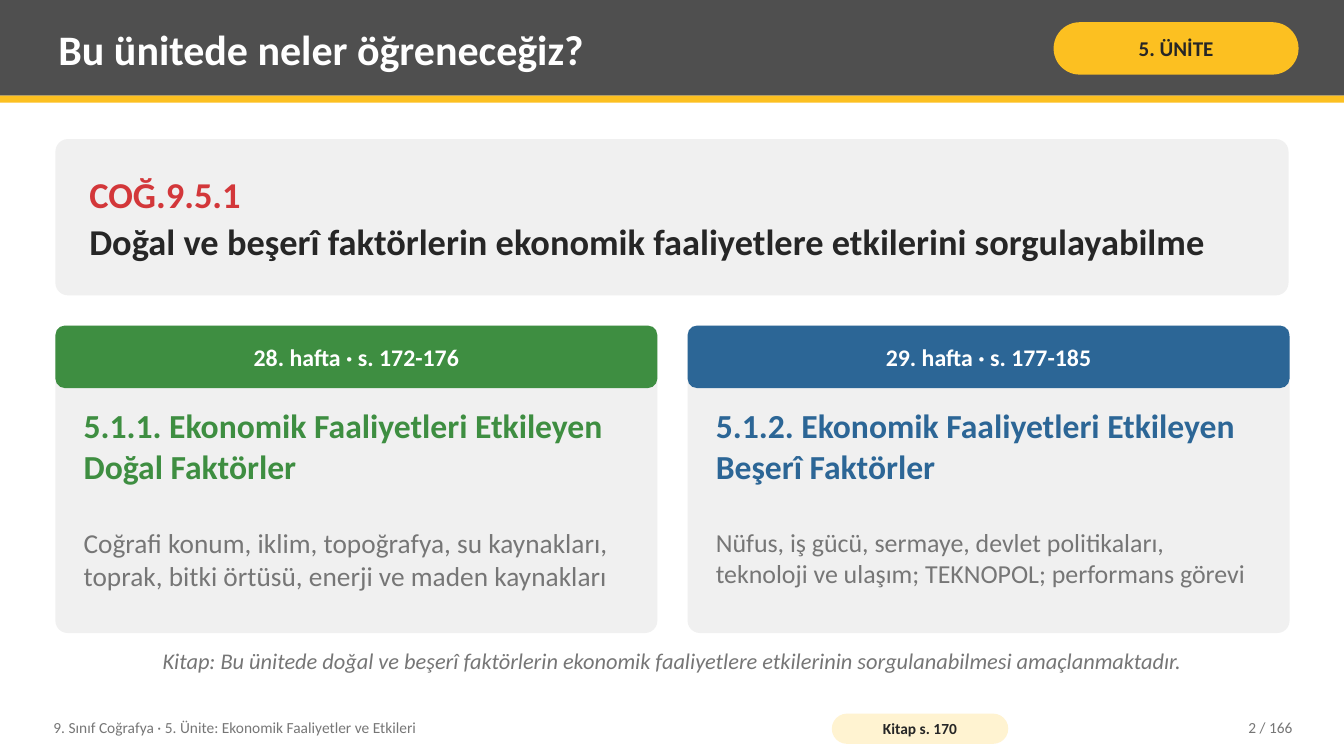
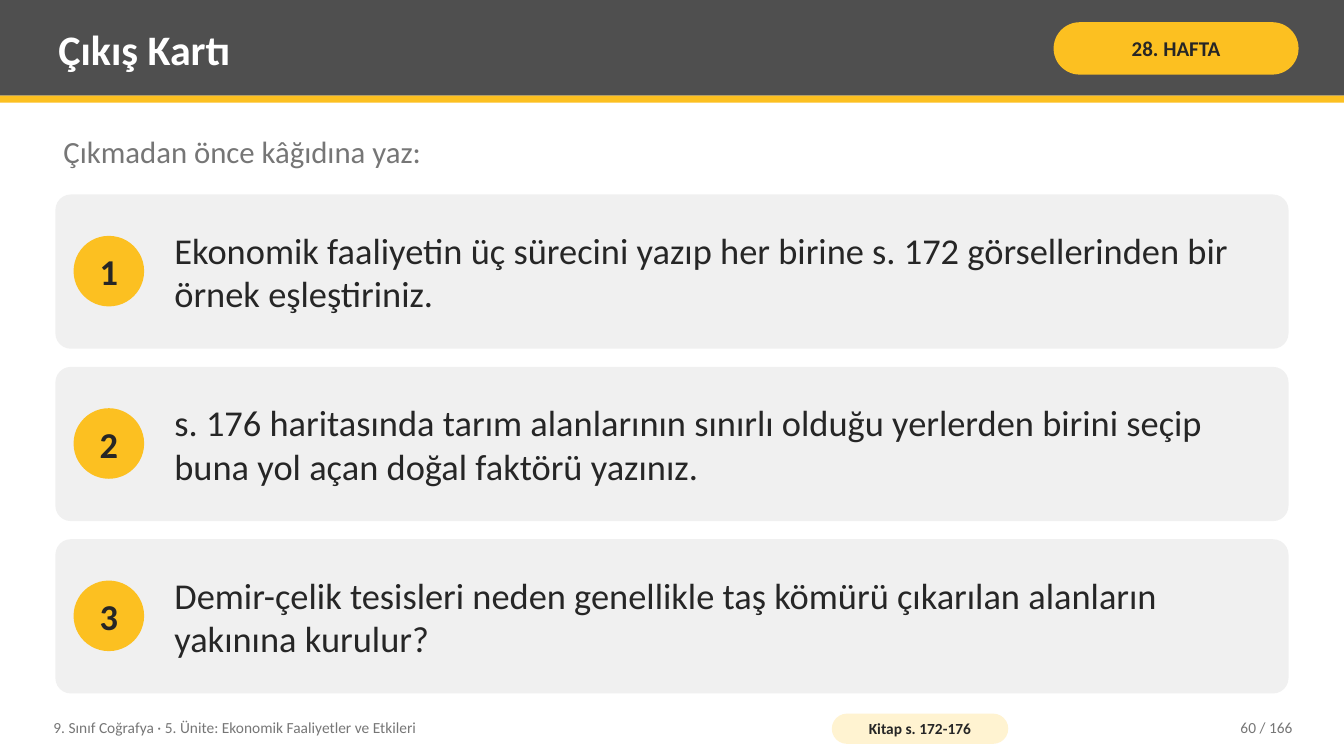
from pptx import Presentation
from pptx import util as u
from pptx.dml.color import RGBColor
from pptx.enum import shapes, text

PX = 9144  # EMU per px, 100 px to the inch
WIDTH, HEIGHT = 1333, 750
MARGIN, CONTENT_WIDTH = 55, 1223
PAGE_COUNT = 166
FONT = "Calibri"
FOOTER = "9. Sınıf Coğrafya · 5. Ünite: Ekonomik Faaliyetler ve Etkileri"

WHITE = RGBColor(0xFF, 0xFF, 0xFF)
CHARCOAL = RGBColor(0x4F, 0x4F, 0x4F)
INK = RGBColor(0x26, 0x26, 0x26)
GRAY = RGBColor(0x76, 0x76, 0x76)
PANEL = RGBColor(0xF0, 0xF0, 0xF0)
YELLOW = RGBColor(0xFC, 0xC0, 0x21)
CREAM = RGBColor(0xFF, 0xF3, 0xD1)
RED = RGBColor(0xD3, 0x37, 0x3A)
GREEN = RGBColor(0x3E, 0x8E, 0x41)
BLUE = RGBColor(0x2C, 0x66, 0x96)

RECT = shapes.MSO_SHAPE.RECTANGLE
ROUNDED = shapes.MSO_SHAPE.ROUNDED_RECTANGLE
OVAL = shapes.MSO_SHAPE.OVAL
LEFT, CENTER, RIGHT = text.PP_ALIGN.LEFT, text.PP_ALIGN.CENTER, text.PP_ALIGN.RIGHT
TOP, MIDDLE = text.MSO_ANCHOR.TOP, text.MSO_ANCHOR.MIDDLE


def to_emu(box):
    return [u.Emu(length * PX) for length in box]


def add_block(slide, box, fill, kind=RECT, rounding=None):
    """Add a flat filled shape without outline or shadow."""
    shape = slide.shapes.add_shape(kind, *to_emu(box))
    shape.shadow.inherit = False
    shape.fill.solid()
    shape.fill.fore_color.rgb = fill
    shape.line.fill.background()
    if rounding is not None:
        shape.adjustments[0] = rounding
    return shape


def write(shape, *lines, size, color=INK, bold=False, italic=False, align=LEFT,
          anchor=MIDDLE, inset=(8, 4), wrap=True, space_after=0):
    """Fill a shape with paragraphs; a line may be a (wording, colour) pair."""
    frame = shape.text_frame
    frame.word_wrap = wrap
    frame.vertical_anchor = anchor
    frame.margin_left = frame.margin_right = u.Emu(inset[0] * PX)
    frame.margin_top = frame.margin_bottom = u.Emu(inset[1] * PX)
    for index, line in enumerate(lines):
        wording, line_color = line if isinstance(line, tuple) else (line, color)
        paragraph = frame.add_paragraph() if index else frame.paragraphs[0]
        paragraph.alignment = align
        if index < len(lines) - 1:
            paragraph.space_after = u.Pt(space_after)
        run = paragraph.add_run()
        run.text = wording
        font = run.font
        font.name, font.size = FONT, u.Pt(size)
        font.bold, font.italic = bold, italic
        font.color.rgb = line_color


def add_text(slide, box, *lines, **text_format):
    write(slide.shapes.add_textbox(*to_emu(box)), *lines, **text_format)


def add_header(slide, title, label):
    add_block(slide, (0, 0, WIDTH, 95), CHARCOAL)
    add_block(slide, (0, 95, WIDTH, 7), YELLOW)
    add_text(slide, (50, 7, 975, 82), title, size=30, color=WHITE, bold=True)
    badge = add_block(slide, (1045, 22, 243, 52), YELLOW, ROUNDED, 0.5)
    write(badge, label, size=15, bold=True, align=CENTER, inset=(5, 2))


def add_footer(slide, book_pages, number):
    add_text(slide, (45, 704, 760, 36), FOOTER, size=11, color=GRAY)
    pill = add_block(slide, (825, 708, 175, 30), CREAM, ROUNDED, 0.5)
    write(pill, f"Kitap s. {book_pages}", size=11, bold=True, align=CENTER, inset=(4, 0))
    add_text(slide, (1130, 704, 160, 36), f"{number} / {PAGE_COUNT}",
             size=11, color=GRAY, align=RIGHT)


def add_framed_slide(presentation, title, label, book_pages, number):
    """Add a blank slide with the shared header and footer."""
    slide = presentation.slides.add_slide(presentation.slide_layouts[6])
    add_header(slide, title, label)
    add_footer(slide, book_pages, number)
    return slide


def add_week_card(slide, box, week, heading, topics, topic_size, accent):
    left, top, width, height = box
    add_block(slide, box, PANEL, ROUNDED, 0.04)
    band = add_block(slide, (left, top, width, 62), accent, ROUNDED, 0.15)
    write(band, week, size=17, color=WHITE, bold=True, align=CENTER, inset=(14, 8))
    add_text(slide, (left + 20, top + 75, width - 40, 115), heading,
             size=24, color=accent, bold=True, anchor=TOP)
    add_text(slide, (left + 20, top + 195, width - 40, 100), topics,
             size=topic_size, color=GRAY, anchor=TOP)


def add_question(slide, box, number, question):
    left, top, width, height = box
    diameter = 70
    add_block(slide, box, PANEL, ROUNDED, 0.1)
    circle = add_block(slide, (left + 18, top + (height - diameter) // 2, diameter, diameter),
                       YELLOW, OVAL)
    write(circle, str(number), size=26, bold=True, align=CENTER, inset=(0, 0), wrap=False)
    add_text(slide, (left + 110, top, width - 130, height), question, size=26)


def build_unit_overview(presentation):
    slide = add_framed_slide(presentation, "Bu ünitede neler öğreneceğiz?", "5. ÜNİTE", "170", 2)
    outcome = add_block(slide, (MARGIN, 138, CONTENT_WIDTH, 155), PANEL, ROUNDED, 0.08)
    write(outcome, ("COĞ.9.5.1", RED),
          "Doğal ve beşerî faktörlerin ekonomik faaliyetlere etkilerini sorgulayabilme",
          size=26, bold=True, inset=(30, 8), space_after=2)

    weeks = [
        ("28. hafta · s. 172-176", "5.1.1. Ekonomik Faaliyetleri Etkileyen Doğal Faktörler",
         "Coğrafi konum, iklim, topoğrafya, su kaynakları, toprak, bitki örtüsü, "
         "enerji ve maden kaynakları", 19.5, GREEN),
        ("29. hafta · s. 177-185", "5.1.2. Ekonomik Faaliyetleri Etkileyen Beşerî Faktörler",
         "Nüfus, iş gücü, sermaye, devlet politikaları, teknoloji ve ulaşım; "
         "TEKNOPOL; performans görevi", 18.5, BLUE),
    ]
    card_width, gap = 597, 30
    for column, week in enumerate(weeks):
        left = MARGIN + column * (card_width + gap)
        add_week_card(slide, (left, 323, card_width, 305), *week)

    add_text(slide, (MARGIN, 638, CONTENT_WIDTH, 45),
             "Kitap: Bu ünitede doğal ve beşerî faktörlerin ekonomik faaliyetlere "
             "etkilerinin sorgulanabilmesi amaçlanmaktadır.",
             size=16, color=GRAY, italic=True, align=CENTER, anchor=TOP)


def build_exit_card(presentation):
    slide = add_framed_slide(presentation, "Çıkış Kartı", "28. HAFTA", "172-176", 60)
    add_text(slide, (MARGIN, 128, CONTENT_WIDTH, 55), "Çıkmadan önce kâğıdına yaz:",
             size=22, color=GRAY, anchor=TOP)
    questions = [
        "Ekonomik faaliyetin üç sürecini yazıp her birine s. 172 görsellerinden "
        "bir örnek eşleştiriniz.",
        "s. 176 haritasında tarım alanlarının sınırlı olduğu yerlerden birini seçip "
        "buna yol açan doğal faktörü yazınız.",
        "Demir-çelik tesisleri neden genellikle taş kömürü çıkarılan alanların "
        "yakınına kurulur?",
    ]
    row_height, gap = 153, 18
    for row, question in enumerate(questions):
        top = 193 + row * (row_height + gap)
        add_question(slide, (MARGIN, top, CONTENT_WIDTH, row_height), row + 1, question)


def main():
    presentation = Presentation()
    presentation.slide_width, presentation.slide_height = to_emu((WIDTH, HEIGHT))
    build_unit_overview(presentation)
    build_exit_card(presentation)
    presentation.save("out.pptx")


if __name__ == "__main__":
    main()
